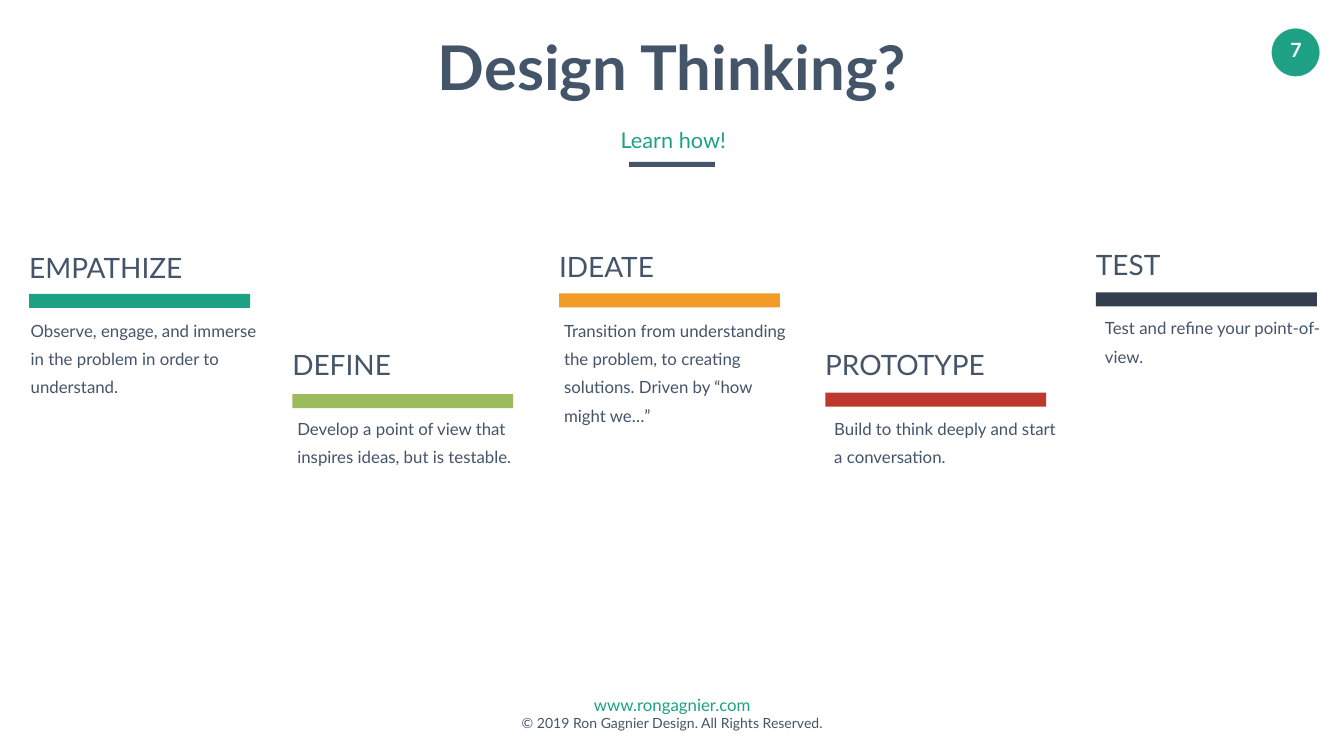
from dataclasses import dataclass

import pptx
import pptx.dml.color
import pptx.enum.shapes
import pptx.enum.text
import pptx.util

Inches = pptx.util.Inches
Pt = pptx.util.Pt
ALIGN = pptx.enum.text.PP_ALIGN
SHAPE = pptx.enum.shapes.MSO_SHAPE


@dataclass(frozen=True)
class Theme:
    font: str = "Lato"
    ink: str = "445469"
    green: str = "1EA185"
    lime: str = "9BBB5C"
    orange: str = "F29B26"
    red: str = "BD392F"
    navy: str = "333F4F"
    white: str = "FFFFFF"
    title: int = 88
    heading: int = 40
    subtitle: int = 31
    page: int = 28
    body: int = 24
    legal: int = 20
    leading: float = 40.4


THEME = Theme()

STAGES = [
    ("EMPATHIZE", "Observe, engage, and immerse in the problem in order to understand.",
     THEME.green, (0.58, 5.83), 4.92, (0.51, 6.15), (3.43, 1.72)),
    ("DEFINE", "Develop a point of view that inspires ideas, but is testable.",
     THEME.lime, (5.8, 7.82), 6.85, (5.8, 8.09), (2.2, 1.15)),
    ("IDEATE", "Transition from understanding the problem, to creating solutions. "
     "Driven by “how might we…”",
     THEME.orange, (11.09, 5.82), 4.9, (11.09, 6.15), (2.19, 2.28)),
    ("PROTOTYPE", "Build to think deeply and start a conversation.",
     THEME.red, (16.37, 7.79), 6.85, (16.45, 8.09), (3.58, 1.15)),
    ("TEST", "Test and refine your point-of-view.",
     THEME.navy, (21.74, 5.8), 4.86, (21.82, 6.1), (1.52, 1.15)),
]


def rgb(color):
    return pptx.dml.color.RGBColor.from_string(color)


def style(paragraph, size, color, align=ALIGN.LEFT, bold=False):
    paragraph.alignment = align
    for run in paragraph.runs:
        run.font.name = THEME.font
        run.font.size = Pt(size)
        run.font.bold = bold
        run.font.color.rgb = rgb(color)


def set_frame(frame, wrap, inset=(0.1, 0.05)):
    frame.word_wrap = wrap
    frame.vertical_anchor = pptx.enum.text.MSO_ANCHOR.TOP
    frame.margin_left = frame.margin_right = Inches(inset[0])
    frame.margin_top = frame.margin_bottom = Inches(inset[1])


def add_text(shapes, box, text, size, color, align=ALIGN.LEFT, wrap=False,
             inset=(0.1, 0.05), bold=False):
    frame = shapes.add_textbox(*map(Inches, box)).text_frame
    set_frame(frame, wrap, inset)
    frame.text = text
    for paragraph in frame.paragraphs:
        style(paragraph, size, color, align, bold)
    return frame


def add_solid(shapes, kind, box, color):
    solid = shapes.add_shape(kind, *map(Inches, box))
    solid.shadow.inherit = False
    solid.fill.solid()
    solid.fill.fore_color.rgb = rgb(color)
    solid.line.fill.background()
    return solid


def add_title(slide):
    title = slide.shapes.title
    title.left, title.top, title.width, title.height = map(
        Inches, (8.51, 0.53, 9.64, 1.58))
    frame = title.text_frame
    set_frame(frame, wrap=False)
    frame.auto_size = pptx.enum.text.MSO_AUTO_SIZE.NONE
    frame.text = "Design Thinking?"
    style(frame.paragraphs[0], THEME.title, THEME.ink, ALIGN.CENTER, bold=True)

    add_solid(slide.shapes, SHAPE.RECTANGLE, (12.48, 3.21, 1.7, 0.1), THEME.ink)
    subtitle = add_text(slide.shapes, (12.07, 2.3, 2.57, 0.8), "Learn how!",
                        THEME.subtitle, THEME.green, ALIGN.CENTER, inset=(0.24, 0.12))
    subtitle.paragraphs[0].line_spacing = 1.2


def add_page_badge(slide):
    badge = add_solid(slide.shapes, SHAPE.OVAL, (25.23, 0.57, 0.94, 0.94), THEME.green)
    badge.line.color.rgb = rgb(THEME.green)
    badge.line.width = Pt(0.5)
    add_text(slide.shapes, (25.27, 0.66, 0.88, 0.67), "7", THEME.page, THEME.white,
             ALIGN.CENTER, inset=(0.2, 0.1), bold=True)


def add_footer(slide):
    footer = add_text(slide.shapes, (8.52, 13.68, 9.63, 0.94),
                      "www.rongagnier.com\n© 2019 Ron Gagnier Design. All Rights Reserved.",
                      THEME.legal, THEME.ink, ALIGN.CENTER, wrap=True, inset=(0.2, 0.1))
    style(footer.paragraphs[0], THEME.body, THEME.green, ALIGN.CENTER)


def add_stage(slide, name, description, color, bar, name_top, text, extent):
    name_width, text_height = extent
    shapes = slide.shapes.add_group_shape().shapes
    add_solid(shapes, SHAPE.RECTANGLE, (*bar, 4.38, 0.28), color)
    add_text(shapes, (bar[0] - 0.1, name_top, name_width, 0.77), name,
             THEME.heading, THEME.ink)
    body = add_text(shapes, (*text, 4.73, text_height), description,
                    THEME.body, THEME.ink, wrap=True)
    body.paragraphs[0].line_spacing = Pt(THEME.leading)


def main():
    deck = pptx.Presentation()
    deck.slide_width, deck.slide_height = Inches(26.66), Inches(15)
    slide = deck.slides.add_slide(deck.slide_layouts.get_by_name("Title Only"))
    add_footer(slide)
    add_page_badge(slide)
    add_title(slide)
    for stage in STAGES:
        add_stage(slide, *stage)
    deck.save("out.pptx")


if __name__ == "__main__":
    main()
